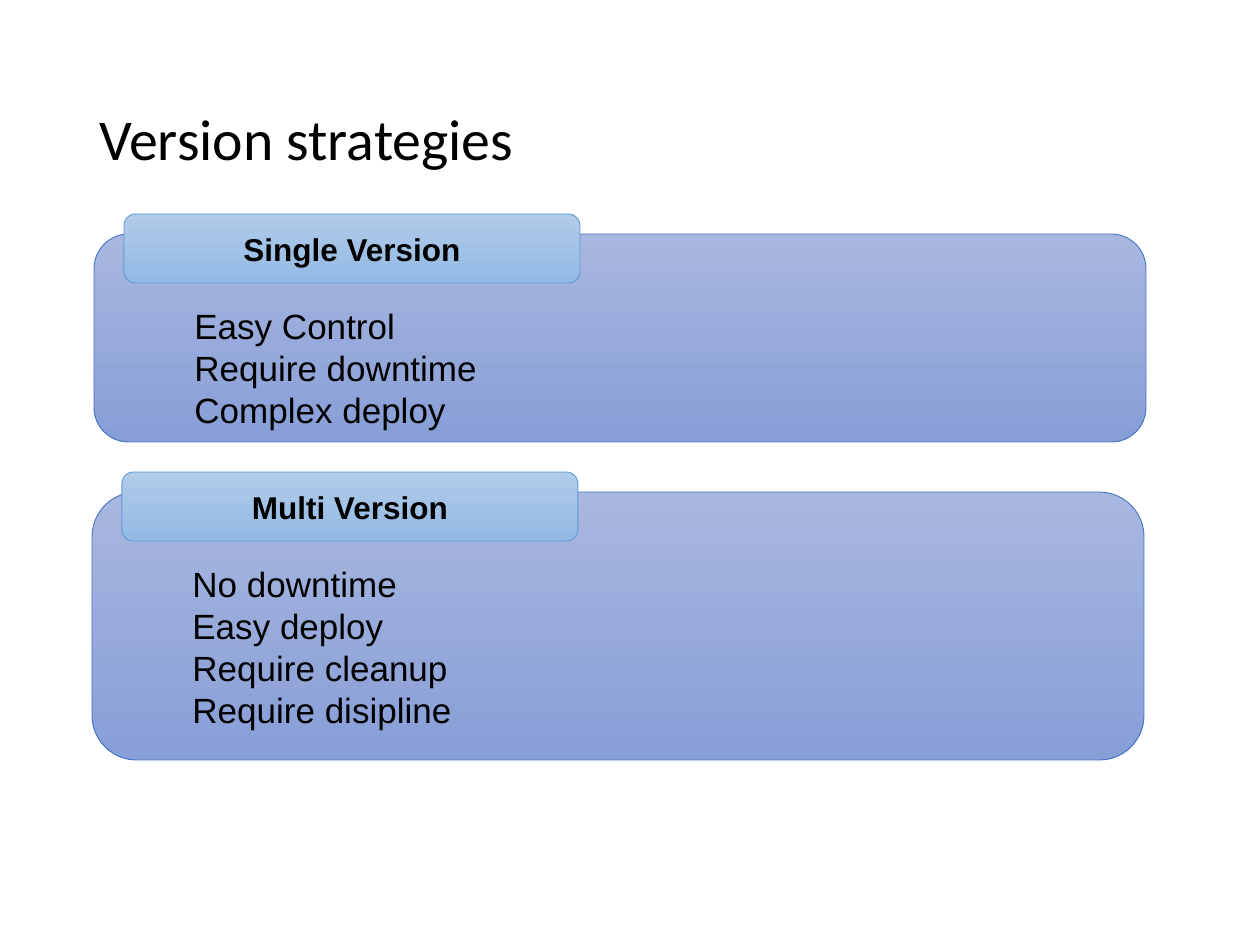
from pptx import Presentation
from pptx.dml.color import RGBColor
from pptx.enum.shapes import MSO_SHAPE as Shape
from pptx.enum.text import MSO_ANCHOR as Anchor, MSO_AUTO_SIZE as AutoSize, PP_ALIGN as Align
from pptx.util import Pt

EMU_PER_PX = 914400 / 126

BLACK = RGBColor(0x00, 0x00, 0x00)
PANEL_COLORS = RGBColor(0xA8, 0xB7, 0xDF), RGBColor(0x88, 0x9E, 0xD7)
PANEL_LINE = RGBColor(0x44, 0x72, 0xC4)
TAB_COLORS = RGBColor(0xB1, 0xCB, 0xE9), RGBColor(0x93, 0xB9, 0xE4)
TAB_LINE = RGBColor(0x5B, 0x9B, 0xD5)

PANEL_WIDTH = 1052
TAB_WIDTH, TAB_HEIGHT = 456, 69

# Left, top and height of each panel, its heading and its points
STRATEGIES = [
    (94, 234, 208, "Single Version",
     ["Easy Control", "Require downtime", "Complex deploy"]),
    (92, 492, 268, "Multi Version",
     ["No downtime", "Easy deploy", "Require cleanup", "Require disipline"]),
]


def px(*lengths):
    return [round(length * EMU_PER_PX) for length in lengths]


def style_text(frame, size, font="Arial", bold=False):
    for para in frame.paragraphs:
        for span in para.runs:
            span.font.name = font
            span.font.size = Pt(size)
            span.font.bold = bold
            span.font.color.rgb = BLACK


def add_text(page, area, lines, size, font="Arial"):
    box = page.shapes.add_textbox(*px(*area))
    frame = box.text_frame
    frame.word_wrap = True
    frame.text = "\n".join(lines)
    style_text(frame, size, font)
    return frame


def add_rounded(page, area, colors, line_color):
    shape = page.shapes.add_shape(Shape.ROUNDED_RECTANGLE, *px(*area))
    shape.shadow.inherit = False
    shape.fill.gradient()
    shape.fill.gradient_angle = 270  # top to bottom
    for stop, color in zip(shape.fill.gradient_stops, colors):
        stop.color.rgb = color
    shape.line.color.rgb = line_color
    shape.line.width = Pt(0.5)
    return shape


def add_tab(page, left, top, heading):
    tab = add_rounded(page, (left, top, TAB_WIDTH, TAB_HEIGHT), TAB_COLORS, TAB_LINE)
    frame = tab.text_frame
    frame.margin_left = frame.margin_right = frame.margin_top = frame.margin_bottom = 0
    frame.word_wrap = False
    frame.vertical_anchor = Anchor.MIDDLE
    frame.text = heading
    frame.paragraphs[0].alignment = Align.CENTER
    style_text(frame, 18, bold=True)


def add_strategy(page, left, top, height, heading, points):
    add_rounded(page, (left, top, PANEL_WIDTH, height), PANEL_COLORS, PANEL_LINE)
    add_tab(page, left + 30, top - 20, heading)
    area = (left + 88, top + 64, TAB_WIDTH, 14 + 42 * len(points))
    frame = add_text(page, area, points, 20)
    frame.auto_size = AutoSize.SHAPE_TO_FIT_TEXT


def main():
    deck = Presentation()
    deck.slide_width, deck.slide_height = px(1260, 945)
    page = deck.slides.add_slide(deck.slide_layouts[6])

    # Title
    title = add_text(page, (87, 50, 1086, 183), ["Version strategies"], 33, "Calibri")
    title.vertical_anchor = Anchor.MIDDLE
    title.paragraphs[0].line_spacing = 0.9

    # Strategy panels
    for strategy in STRATEGIES:
        add_strategy(page, *strategy)

    deck.save("out.pptx")


if __name__ == "__main__":
    main()
